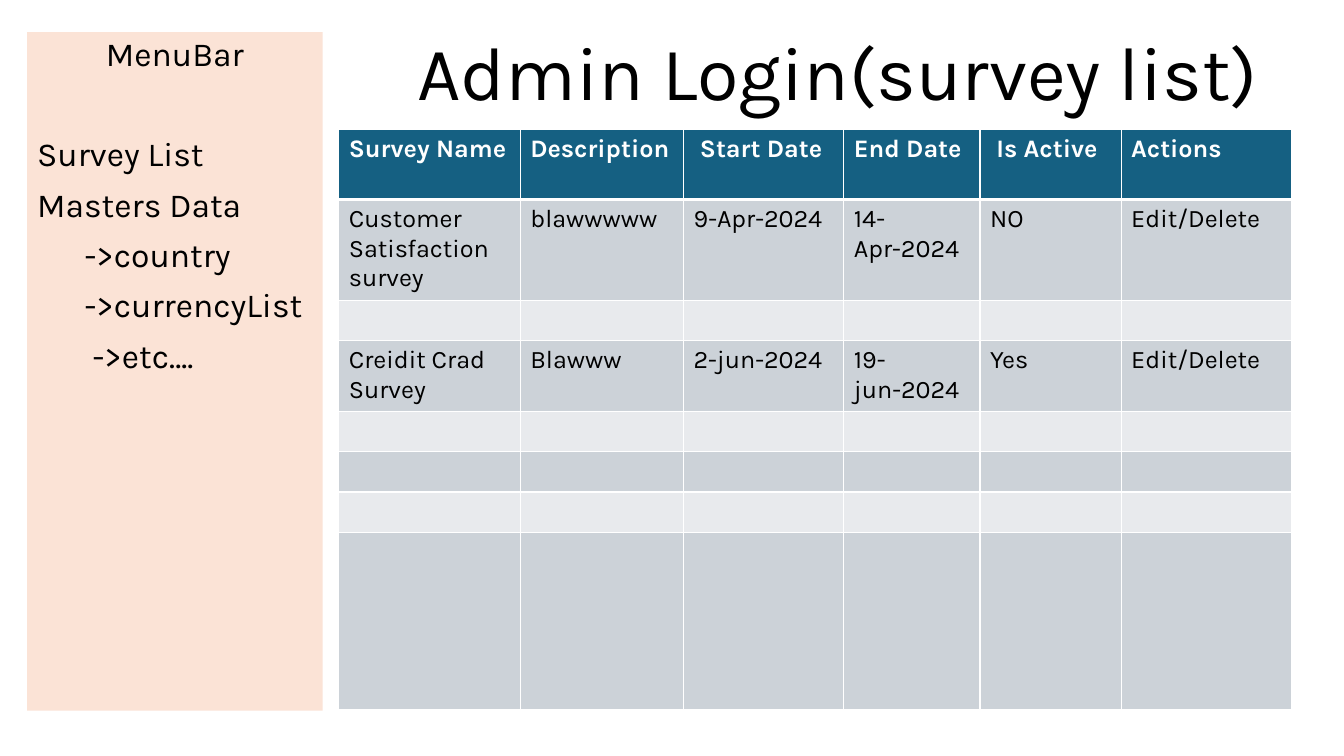
from dataclasses import dataclass

from lxml.etree import SubElement
from pptx import Presentation
from pptx.dml.color import RGBColor
from pptx.enum.shapes import MSO_SHAPE as Preset
from pptx.enum.text import MSO_ANCHOR as Anchor, PP_ALIGN as Align
from pptx.oxml.ns import qn
from pptx.slide import Slide
from pptx.table import _Cell as Cell
from pptx.text.text import TextFrame, _Paragraph as Paragraph
from pptx.util import Emu, Pt

EMU_PER_PX = 9144


@dataclass(frozen=True)
class Theme:
    font: str = "Karla"
    ink: str = "000000"
    white: str = "FFFFFF"
    menu: str = "FBE3D6"
    header: str = "156082"
    odd_row: str = "CCD2D8"
    even_row: str = "E8EAED"
    title_pt: int = 54
    menu_pt: int = 24
    table_pt: int = 18
    grid_pt: int = 1
    header_rule_pt: int = 3
    line_spacing: float = 0.9


@dataclass(frozen=True)
class Box:
    left: int
    top: int
    width: int
    height: int

    def emu(self) -> tuple[Emu, Emu, Emu, Emu]:
        return px(self.left), px(self.top), px(self.width), px(self.height)


@dataclass(frozen=True)
class MenuEntry:
    text: str
    indent: int = 0
    before_pt: int = 10
    align: Align = Align.LEFT


@dataclass(frozen=True)
class Column:
    heading: str
    width: int


@dataclass(frozen=True)
class Row:
    height: int
    values: tuple[str, ...] = ()


THEME = Theme()
TITLE_BOX = Box(356, 32, 950, 89)
MENU_BOX = Box(27, 32, 293, 673)
SURVEY_BOX = Box(336, 128, 945, 576)

MENU = (
    MenuEntry("MenuBar", align=Align.CENTER),
    MenuEntry("Survey List", before_pt=46),
    MenuEntry("Masters Data"),
    MenuEntry("->country", indent=47),
    MenuEntry("->currencyList", indent=47),
    MenuEntry("->etc….", indent=55),
)

COLUMNS = (
    Column("Survey Name", 180),
    Column("Description", 162),
    Column(" Start Date", 159),
    Column("End Date", 135),
    Column(" Is Active", 140),
    Column("Actions", 169),
)

ROWS = (
    Row(70, tuple(column.heading for column in COLUMNS)),
    Row(40, ("Customer Satisfaction survey", "blawwwww", "9-Apr-2024",
             "14-Apr-2024", "NO", "Edit/Delete")),
    Row(40),
    Row(40, ("Creidit Crad Survey", "Blawww", "2-jun-2024",
             "19-jun-2024", "Yes", "Edit/Delete")),
    Row(40),
    Row(40),
    Row(40),
    Row(176),
)


def px(length: int) -> Emu:
    return Emu(length * EMU_PER_PX)


def add_text(paragraph: Paragraph, text: str, size: int, color: str = THEME.ink,
             bold: bool = False) -> None:
    run = paragraph.add_run()
    run.text = text
    run.font.name = THEME.font
    run.font.size = Pt(size)
    run.font.bold = bold
    run.font.color.rgb = RGBColor.from_string(color)


def add_title(slide: Slide) -> None:
    frame = slide.shapes.add_textbox(*TITLE_BOX.emu()).text_frame
    frame.word_wrap = True
    frame.vertical_anchor = Anchor.BOTTOM
    heading = frame.paragraphs[0]
    heading.alignment = Align.CENTER
    heading.line_spacing = THEME.line_spacing
    add_text(heading, "Admin Login(survey list)", THEME.title_pt)


def add_menu_entry(frame: TextFrame, position: int, entry: MenuEntry) -> None:
    line = frame.add_paragraph() if position else frame.paragraphs[0]
    line.alignment = entry.align
    line.line_spacing = THEME.line_spacing
    line.space_before = Pt(entry.before_pt)
    line._p.get_or_add_pPr().set("marL", str(px(entry.indent)))
    add_text(line, entry.text, THEME.menu_pt)


def add_menu(slide: Slide) -> None:
    panel = slide.shapes.add_shape(Preset.RECTANGLE, *MENU_BOX.emu())
    panel.shadow.inherit = False
    panel.fill.solid()
    panel.fill.fore_color.rgb = RGBColor.from_string(THEME.menu)
    panel.line.fill.background()
    frame = panel.text_frame
    frame.word_wrap = True
    frame.vertical_anchor = Anchor.TOP
    for position, entry in enumerate(MENU):
        add_menu_entry(frame, position, entry)


def add_border(cell: Cell, side: str, width_pt: int) -> None:
    border = SubElement(cell._tc.get_or_add_tcPr(), qn(f"a:{side}"), w=str(Pt(width_pt)))
    fill = SubElement(border, qn("a:solidFill"))
    SubElement(fill, qn("a:srgbClr"), val=THEME.white)


def style_cell(cell: Cell, row: int) -> None:
    top = THEME.header_rule_pt if row == 1 else THEME.grid_pt
    bottom = THEME.header_rule_pt if row == 0 else THEME.grid_pt
    for side, width in (("lnL", THEME.grid_pt), ("lnR", THEME.grid_pt),
                        ("lnT", top), ("lnB", bottom)):
        add_border(cell, side, width)
    band = THEME.odd_row if row % 2 else THEME.even_row
    cell.fill.solid()
    cell.fill.fore_color.rgb = RGBColor.from_string(band if row else THEME.header)


def add_surveys(slide: Slide) -> None:
    surveys = slide.shapes.add_table(len(ROWS), len(COLUMNS), *SURVEY_BOX.emu()).table
    for index, column in enumerate(COLUMNS):
        surveys.columns[index].width = px(column.width)
    for index, row in enumerate(ROWS):
        surveys.rows[index].height = px(row.height)
        for cell in surveys.rows[index].cells:
            style_cell(cell, index)
            cell.text_frame.paragraphs[0].font.size = Pt(THEME.table_pt)
        is_header = index == 0
        color = THEME.white if is_header else THEME.ink
        for cell, value in zip(surveys.rows[index].cells, row.values):
            add_text(cell.text_frame.paragraphs[0], value, THEME.table_pt, color, is_header)


def main() -> None:
    deck = Presentation()
    deck.slide_width, deck.slide_height = px(1333), px(750)
    slide = deck.slides.add_slide(deck.slide_layouts[6])
    add_title(slide)
    add_menu(slide)
    add_surveys(slide)
    deck.save("out.pptx")


if __name__ == "__main__":
    main()
